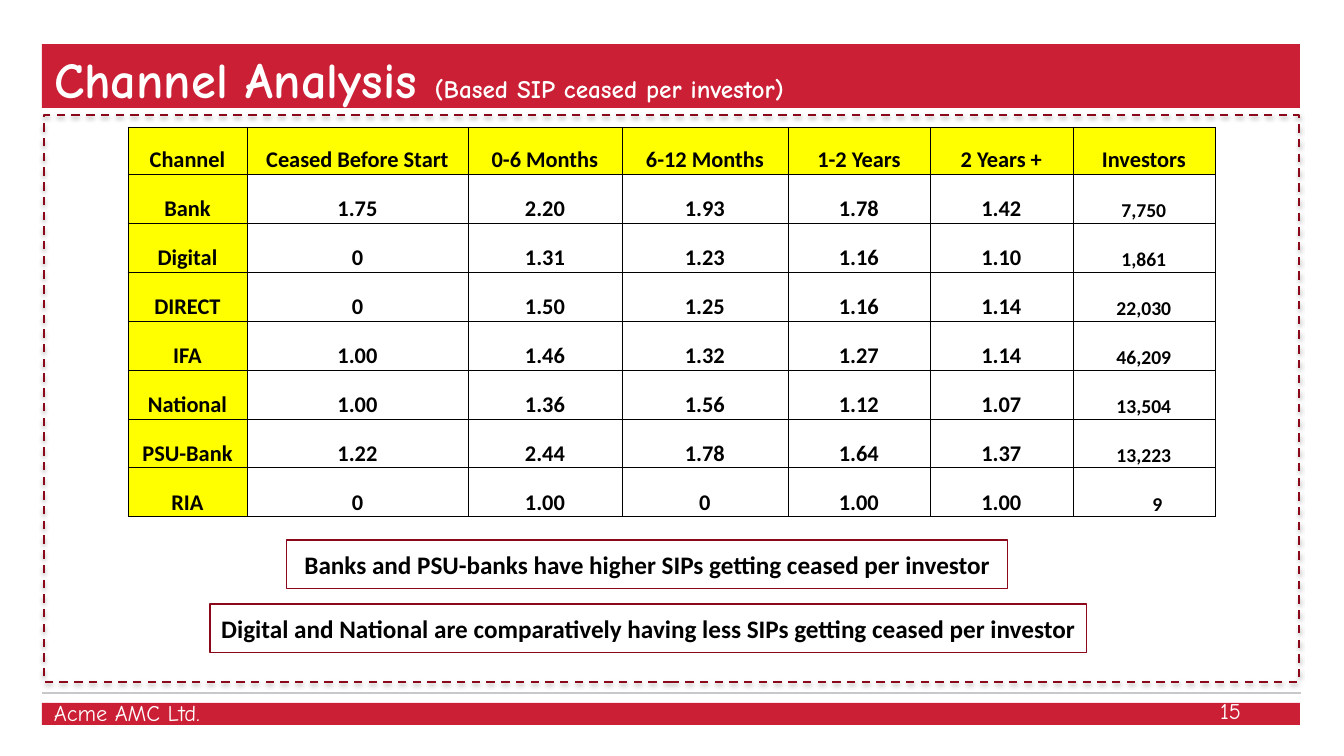
from dataclasses import dataclass

from lxml.etree import SubElement
from pptx import Presentation
from pptx.dml.color import RGBColor
from pptx.enum.dml import MSO_LINE_DASH_STYLE as Dash
from pptx.enum.shapes import MSO_CONNECTOR as Connector, MSO_SHAPE as Shape
from pptx.enum.text import MSO_ANCHOR as Anchor, MSO_AUTO_SIZE as AutoSize, PP_ALIGN as Align
from pptx.oxml.ns import qn
from pptx.util import Pt

PX = 914400 / 100.8  # EMU in one px


@dataclass(frozen=True)
class Theme:
    red: str = "CA1F34"
    dark_red: str = "8A0819"
    rule: str = "C7C8CA"
    yellow: str = "FFFF00"
    black: str = "000000"
    white: str = "FFFFFF"
    display_font: str = "Comic Neue"
    body_font: str = "Calibri"
    title_size: int = 36
    note_size: int = 18
    cell_size: int = 16
    investors_size: int = 14
    footer_size: int = 16


THEME = Theme()

COLUMN_WIDTHS = [119, 221, 154, 166, 142, 143, 142]
HEADER_HEIGHT, ROW_HEIGHT = 47, 49
LONE_DIGIT_INDENT = 28
ROWS = [
    ["Channel", "Ceased Before Start", "0-6 Months", "6-12 Months", "1-2 Years", "2 Years +", "Investors"],
    ["Bank", "1.75", "2.20", "1.93", "1.78", "1.42", "7,750"],
    ["Digital", "0", "1.31", "1.23", "1.16", "1.10", "1,861"],
    ["DIRECT", "0", "1.50", "1.25", "1.16", "1.14", "22,030"],
    ["IFA", "1.00", "1.46", "1.32", "1.27", "1.14", "46,209"],
    ["National", "1.00", "1.36", "1.56", "1.12", "1.07", "13,504"],
    ["PSU-Bank", "1.22", "2.44", "1.78", "1.64", "1.37", "13,223"],
    ["RIA", "0", "1.00", "0", "1.00", "1.00", "9"],
]
FINDINGS = [
    ("Banks and PSU-banks have higher SIPs getting ceased per investor", (287, 540, 721, 49)),
    ("Digital and National are comparatively having less SIPs getting ceased per investor", (210, 604, 877, 49)),
]


def px(length):
    return round(length * PX)


def emu(box):
    return [px(length) for length in box]


def color(code):
    return RGBColor.from_string(code)


def add_text(paragraph, text, *, size, font=THEME.body_font, fill=THEME.black, bold=False, align=Align.LEFT):
    paragraph.alignment = align
    run = paragraph.add_run()
    run.text = text
    run.font.size = Pt(size)
    run.font.name = font
    run.font.bold = bold
    run.font.color.rgb = color(fill)


def add_box(slide, box, *, fill=None, line=None, width=0.75, dash=None):
    shape = slide.shapes.add_shape(Shape.RECTANGLE, *emu(box))
    shape.shadow.inherit = False
    if fill:
        shape.fill.solid()
        shape.fill.fore_color.rgb = color(fill)
    else:
        shape.fill.background()
    if line:
        shape.line.color.rgb = color(line)
        shape.line.width = Pt(width)
        if dash:
            shape.line.dash_style = dash
    else:
        shape.line.fill.background()
    return shape


def add_shadow(shape):
    effects = shape.element.spPr.find(qn("a:effectLst"))
    shadow = SubElement(effects, qn("a:outerShdw"), blurRad=str(Pt(3.1)), dist=str(Pt(1.8)),
                        dir="5400000", rotWithShape="0")
    tint = SubElement(shadow, qn("a:srgbClr"), val=THEME.black)
    SubElement(tint, qn("a:alpha"), val="35000")


def add_rule(slide, left, right, y):
    rule = slide.shapes.add_connector(Connector.STRAIGHT, *emu((left, y, right, y)))
    rule.line.color.rgb = color(THEME.rule)
    rule.line.width = Pt(1)
    SubElement(rule.element.spPr, qn("a:effectLst"))


def add_footer_text(slide, text, box, *, align=Align.LEFT, anchor=Anchor.TOP):
    frame = slide.shapes.add_textbox(*emu(box)).text_frame
    frame.word_wrap = True
    frame.vertical_anchor = anchor
    add_text(frame.paragraphs[0], text, size=THEME.footer_size, font=THEME.display_font,
             fill=THEME.white, align=align)


def set_title(slide, header_bar):
    title = slide.shapes.title
    title.left, title.top, title.width, title.height = emu((44, 43, 1208, 86))
    header_bar.element.addnext(title.element)  # in front of the bar
    frame = title.text_frame
    frame.word_wrap = True
    frame.auto_size = AutoSize.NONE
    frame.vertical_anchor = Anchor.TOP
    paragraph = frame.paragraphs[0]
    paragraph.space_before = Pt(3.6)
    for text, size in (("Channel Analysis ", THEME.title_size),
                       ("(Based SIP ceased per investor)", THEME.note_size)):
        add_text(paragraph, text, size=size, font=THEME.display_font, fill=THEME.white, bold=True)


def set_borders(cell):
    properties = cell._tc.get_or_add_tcPr()
    for index, side in enumerate(("lnL", "lnR", "lnT", "lnB")):
        border = properties.makeelement(qn(f"a:{side}"), {"w": str(Pt(0.5))})
        fill = SubElement(border, qn("a:solidFill"))
        SubElement(fill, qn("a:srgbClr"), val=THEME.black)
        properties.insert(index, border)


def format_cell(cell, text, *, size, highlighted):
    cell.margin_left = cell.margin_right = cell.margin_top = px(1)
    cell.margin_bottom = 0
    cell.vertical_anchor = Anchor.BOTTOM
    if highlighted:
        cell.fill.solid()
        cell.fill.fore_color.rgb = color(THEME.yellow)
    else:
        cell.fill.background()
    set_borders(cell)
    add_text(cell.text_frame.paragraphs[0], text, size=size, bold=True, align=Align.CENTER)


def add_channel_table(slide, left, top):
    height = HEADER_HEIGHT + ROW_HEIGHT * (len(ROWS) - 1)
    box = emu((left, top, sum(COLUMN_WIDTHS), height))
    table = slide.shapes.add_table(len(ROWS), len(COLUMN_WIDTHS), *box).table
    table.first_row = table.horz_banding = False
    for column, width in zip(table.columns, COLUMN_WIDTHS):
        column.width = px(width)
    last_column = len(COLUMN_WIDTHS) - 1
    for r, values in enumerate(ROWS):
        table.rows[r].height = px(ROW_HEIGHT if r else HEADER_HEIGHT)
        for c, text in enumerate(values):
            is_investors = r > 0 and c == last_column
            format_cell(table.cell(r, c), text, highlighted=r == 0 or c == 0,
                        size=THEME.investors_size if is_investors else THEME.cell_size)
    # The single-digit count sits under the units of the others
    table.cell(len(ROWS) - 1, last_column).margin_left = px(LONE_DIGIT_INDENT)


def add_finding(slide, text, box):
    frame = add_box(slide, box, line=THEME.dark_red).text_frame
    frame.word_wrap = True
    frame.vertical_anchor = Anchor.MIDDLE
    add_text(frame.paragraphs[0], text, size=THEME.note_size, bold=True, align=Align.CENTER)


def main():
    presentation = Presentation()
    presentation.slide_width, presentation.slide_height = emu((1344, 756))
    slide = presentation.slides.add_slide(presentation.slide_layouts.get_by_name("Title Only"))

    # Header and footer
    header_bar = add_box(slide, (42, 44, 1258, 64), fill=THEME.red)
    set_title(slide, header_bar)
    add_box(slide, (42, 703, 1258, 22), fill=THEME.red)
    add_rule(slide, 42, 1301, 693)
    add_footer_text(slide, "Acme AMC Ltd.", (44, 694, 425, 40))
    add_footer_text(slide, "15", (949, 691, 302, 40), align=Align.RIGHT, anchor=Anchor.MIDDLE)

    # Dashed content frame
    add_shadow(add_box(slide, (44, 115, 1255, 567), line=THEME.dark_red, width=1.5, dash=Dash.DASH))

    # Table and findings
    add_channel_table(slide, 128, 127)
    for text, box in FINDINGS:
        add_finding(slide, text, box)

    presentation.save("out.pptx")


if __name__ == "__main__":
    main()
